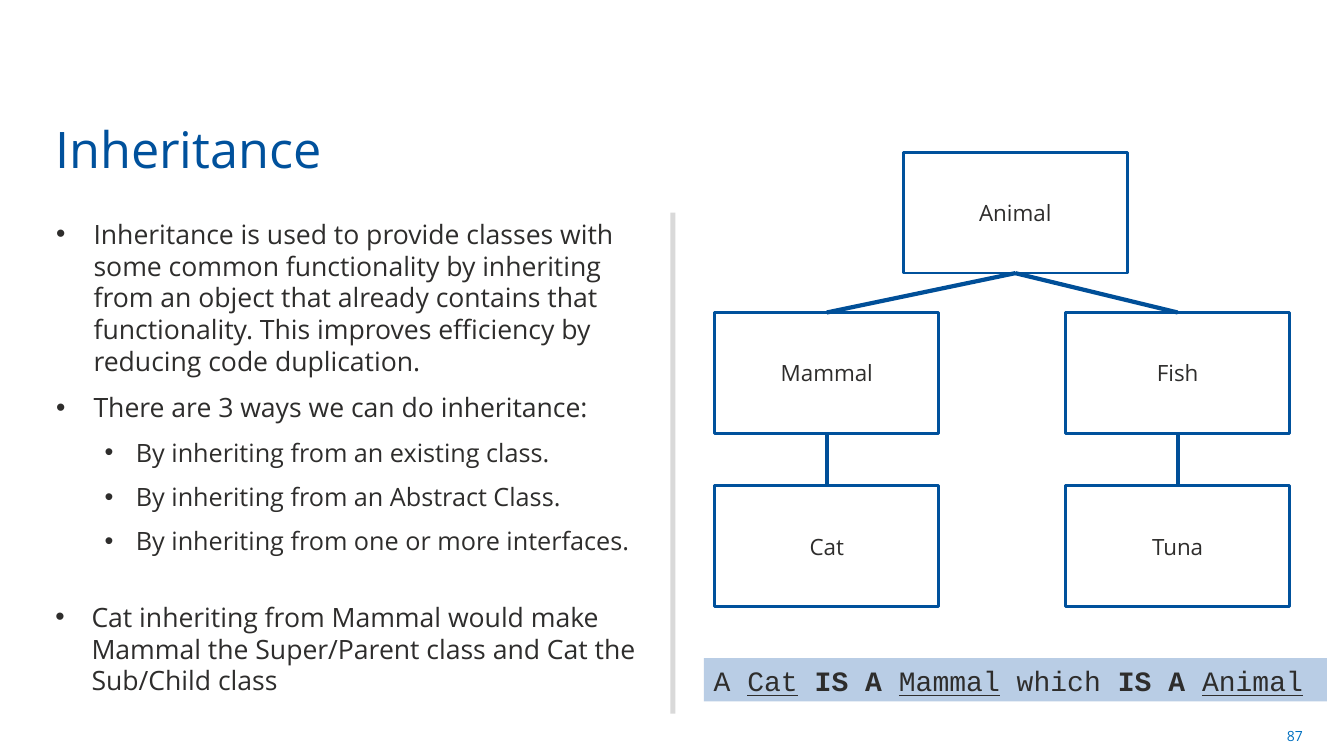
from dataclasses import dataclass

from lxml import etree
from pptx import Presentation
from pptx.dml.color import RGBColor
from pptx.enum.shapes import MSO_CONNECTOR, MSO_SHAPE
from pptx.enum.text import MSO_ANCHOR, PP_ALIGN
from pptx.oxml.ns import qn
from pptx.util import Inches, Pt

RECT, STRAIGHT = MSO_SHAPE.RECTANGLE, MSO_CONNECTOR.STRAIGHT
TOP, MIDDLE, BOTTOM = MSO_ANCHOR.TOP, MSO_ANCHOR.MIDDLE, MSO_ANCHOR.BOTTOM
LEFT, CENTER, RIGHT = PP_ALIGN.LEFT, PP_ALIGN.CENTER, PP_ALIGN.RIGHT

TITLE = "Inheritance"
PAGE = "87"
# level, text, left margin in inches, points of space before
BULLETS = [
    (0, "Inheritance is used to provide classes with some common functionality "
        "by inheriting from an object that already contains that functionality. "
        "This improves efficiency by reducing code duplication.", 0.38, 2),
    (0, "There are 3 ways we can do inheritance:", 0.38, 2),
    (1, "By inheriting from an existing class.", 0.8, 2),
    (1, "By inheriting from an Abstract Class.", 0.8, 2),
    (1, "By inheriting from one or more interfaces.", 0.8, 2),
    (0, "Cat inheriting from Mammal would make Mammal the Super/Parent class "
        "and Cat the Sub/Child class", 0.36, 24),
]
# class name: left, top
CLASSES = {
    "Animal": (8.96, 1.51),
    "Mammal": (7.09, 3.1),
    "Fish": (10.57, 3.1),
    "Cat": (7.09, 4.82),
    "Tuna": (10.57, 4.82),
}
PARENTS = [("Animal", "Mammal"), ("Animal", "Fish"), ("Mammal", "Cat"), ("Fish", "Tuna")]
# text, style: u underlined, b bold
SENTENCE = [("A ", ""), ("Cat", "u"), (" ", ""), ("IS A ", "b"), ("Mammal", "u"),
            (" which ", ""), ("IS A ", "b"), ("Animal", "u")]
CLASS_SIZE = (2.22, 1.2)
INDENTS = (-0.37, -0.31)  # first-line indent of each level
BOTTOM_SITE, TOP_SITE = 2, 0


@dataclass(frozen=True)
class Theme:
    """Fonts, colours and type sizes of the slide."""
    font: str = "Open Sans"
    code_font: str = "Courier New"
    ink: str = "2E2D2C"
    blue: str = "00519C"
    link: str = "004F98"
    page: str = "0070C0"
    divider: str = "D9D9D9"
    band: str = "B9CDE5"
    white: str = "FFFFFF"
    title_pt: int = 36
    body_pt: tuple = (19, 18)
    class_pt: int = 16
    code_pt: int = 20
    page_pt: int = 10


THEME = Theme()


def rgb(code):
    """Turn a hex code into a colour."""
    return RGBColor.from_string(code)


def style(r, size, color=THEME.ink, font=THEME.font):
    """Set size, colour and font of a run."""
    r.font.size, r.font.name = Pt(size), font
    r.font.color.rgb = rgb(color)


def add_text(slide, box, text, size, color, anchor=TOP, align=LEFT):
    """Add a wrapping text box with one styled paragraph."""
    tf = slide.shapes.add_textbox(*map(Inches, box)).text_frame
    tf.word_wrap, tf.vertical_anchor = True, anchor
    p = tf.paragraphs[0]
    p.text, p.alignment = text, align
    style(p.runs[0], size, color)


def add_rect(slide, box, fill, line=None):
    """Add a flat rectangle, outlined when a line colour is given."""
    sp = slide.shapes.add_shape(RECT, *map(Inches, box))
    sp.shadow.inherit = False
    sp.fill.solid()
    sp.fill.fore_color.rgb = rgb(fill)
    if line:
        sp.line.color.rgb, sp.line.width = rgb(line), Pt(2)
    else:
        sp.line.fill.background()
    return sp


def add_bullets(slide, box):
    """Add the two-level bullet list."""
    tf = slide.shapes.add_textbox(*map(Inches, box)).text_frame
    tf.word_wrap = True
    for i, (level, text, margin, before) in enumerate(BULLETS):
        p = tf.add_paragraph() if i else tf.paragraphs[0]
        p.text, p.level = text, level
        p.space_before, p.space_after = Pt(before), Pt(8)
        style(p.runs[0], THEME.body_pt[level])
        pPr = p._p.get_or_add_pPr()
        pPr.set("marL", str(Inches(margin)))
        pPr.set("indent", str(Inches(INDENTS[level])))
        etree.SubElement(pPr, qn("a:buFont")).set("typeface", "Arial")
        etree.SubElement(pPr, qn("a:buChar")).set("char", "•")


def add_class(slide, name):
    """Add one class box of the hierarchy."""
    sp = add_rect(slide, CLASSES[name] + CLASS_SIZE, THEME.white, THEME.blue)
    tf = sp.text_frame
    tf.text, tf.vertical_anchor = name, MIDDLE
    p = tf.paragraphs[0]
    p.alignment = CENTER
    style(p.runs[0], THEME.class_pt)
    return sp


def add_link(slide, parent, child):
    """Join the bottom of a parent to the top of its child."""
    line = slide.shapes.add_connector(STRAIGHT, 0, 0, 0, 0)
    line.begin_connect(parent, BOTTOM_SITE)
    line.end_connect(child, TOP_SITE)
    line.line.color.rgb, line.line.width = rgb(THEME.link), Pt(3)
    etree.SubElement(line._element.spPr, qn("a:effectLst"))


def add_sentence(slide, box):
    """Add the band that reads the hierarchy aloud."""
    tf = add_rect(slide, box, THEME.band).text_frame
    tf.word_wrap, tf.vertical_anchor = True, TOP
    p = tf.paragraphs[0]
    p.alignment = LEFT
    for text, marks in SENTENCE:
        r = p.add_run()
        r.text = text
        style(r, THEME.code_pt, font=THEME.code_font)
        r.font.bold, r.font.underline = "b" in marks, "u" in marks


def main():
    """Build and save the slide."""
    prs = Presentation()
    prs.slide_width, prs.slide_height = Inches(13.33), Inches(7.5)
    slide = prs.slides.add_slide(prs.slide_layouts[6])
    add_text(slide, (9.91, 7.1, 3.11, 0.4), PAGE, THEME.page_pt, THEME.page, MIDDLE, RIGHT)
    add_rect(slide, (6.65, 2.11, 0.05, 4.97), THEME.divider)
    add_bullets(slide, (0.45, 2.11, 6.1, 4.97))
    add_text(slide, (0.45, 1.14, 9.98, 0.68), TITLE, THEME.title_pt, THEME.blue, BOTTOM)
    boxes = {name: add_class(slide, name) for name in CLASSES}
    for parent, child in PARENTS:
        add_link(slide, boxes[parent], boxes[child])
    add_sentence(slide, (6.98, 6.53, 6.18, 0.43))
    prs.save("out.pptx")


main()
